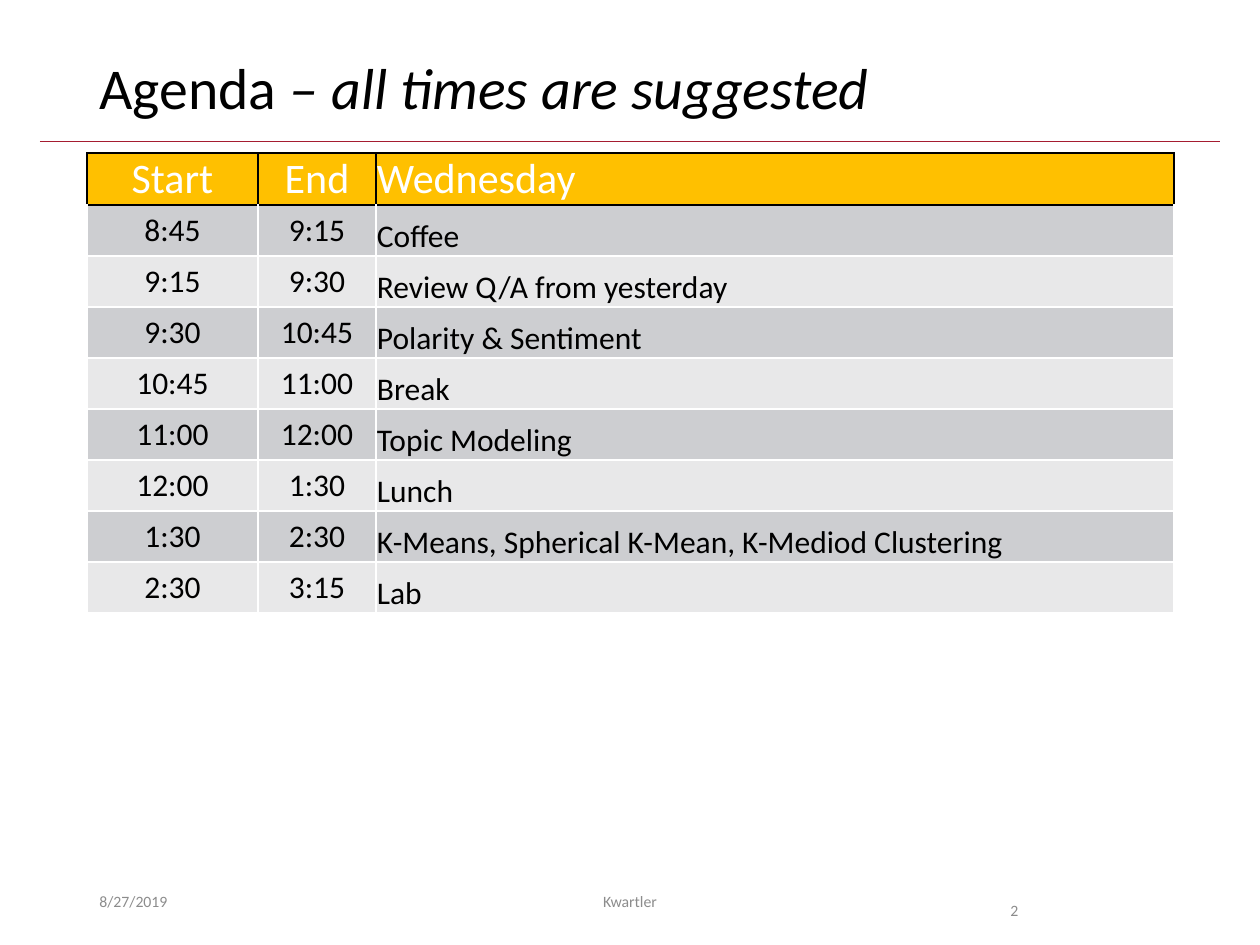
import lxml.etree
import pptx
import pptx.dml.color
import pptx.enum.shapes
import pptx.enum.text
import pptx.oxml.ns
import pptx.util

PX = 914400 / 126
ALIGN = pptx.enum.text.PP_ALIGN
ANCHOR = pptx.enum.text.MSO_ANCHOR
qn = pptx.oxml.ns.qn


def color(value):
    return pptx.dml.color.RGBColor.from_string(value)


def write(frame, text, size=18, fill="000000", align=ALIGN.LEFT,
          anchor=ANCHOR.MIDDLE, spacing=None, italic_tail=""):
    """Fill the first paragraph; italic_tail follows the text in italics."""
    frame.word_wrap = True
    frame.vertical_anchor = anchor
    para = frame.paragraphs[0]
    para.alignment = align
    para.line_spacing = spacing
    for words, italic in ((text, False), (italic_tail, True)):
        if words:
            span = para.add_run()
            span.text = words
            span.font.name = "Calibri"
            span.font.size = pptx.util.Pt(size)
            span.font.italic = italic
            span.font.color.rgb = color(fill)


deck = pptx.Presentation()
deck.slide_width = round(1260 * PX)
deck.slide_height = round(945 * PX)
page = deck.slides.add_slide(deck.slide_layouts[6])

# Rule under the title
rule = page.shapes.add_connector(
    pptx.enum.shapes.MSO_CONNECTOR.STRAIGHT,
    *(round(length * PX) for length in (40, 141, 1220, 141)))
rule.line.color.rgb = color("A51C30")
rule.line.width = pptx.util.Pt(0.5)
lxml.etree.SubElement(rule._element.spPr, qn("a:effectLst"))

# Title and footer
footer = {"size": 9, "fill": "8C8C8C"}
texts = [
    ((87, 50, 1086, 82), "Agenda ",
     {"size": 33, "spacing": 0.9, "italic_tail": "– all times are suggested"}),
    ((87, 876, 284, 50), "8/27/2019", footer),
    ((417, 876, 426, 50), "Kwartler", {**footer, "align": ALIGN.CENTER}),
    ((998, 876, 118, 50), "2", {**footer, "anchor": ANCHOR.TOP, "spacing": 2.0}),
]
for place, text, style in texts:
    box = page.shapes.add_textbox(*(round(length * PX) for length in place))
    write(box.text_frame, text, **style)

# Schedule
schedule = [
    ("Start", "End", "Wednesday"),
    ("8:45", "9:15", "Coffee"),
    ("9:15", "9:30", "Review Q/A from yesterday"),
    ("9:30", "10:45", "Polarity & Sentiment"),
    ("10:45", "11:00", "Break"),
    ("11:00", "12:00", "Topic Modeling"),
    ("12:00", "1:30", "Lunch"),
    ("1:30", "2:30", "K-Means, Spherical K-Mean, K-Mediod Clustering"),
    ("2:30", "3:15", "Lab"),
]
widths = (171, 118, 798)
heights = [52] + [51] * (len(schedule) - 1)
table = page.shapes.add_table(
    len(schedule), len(widths), round(87 * PX), round(153 * PX),
    round(sum(widths) * PX), round(sum(heights) * PX)).table
for column, width in zip(table.columns, widths):
    column.width = round(width * PX)

for row, entries in enumerate(schedule):
    table.rows[row].height = round(heights[row] * PX)
    header = row == 0
    band = "FFC000" if header else ("E8E8E9", "CDCED1")[row % 2]
    for column, text in enumerate(entries):
        cell = table.cell(row, column)
        cell.margin_left = cell.margin_right = cell.margin_top = round(PX)
        cell.margin_bottom = 0
        is_topic = column == 2
        properties = cell._tc.get_or_add_tcPr()
        for side in ("lnL", "lnR", "lnT", "lnB"):
            dark = header or (row == 1 and side == "lnT")
            edge = lxml.etree.SubElement(properties, qn(f"a:{side}"), w="12700")
            paint = lxml.etree.SubElement(edge, qn("a:solidFill"))
            lxml.etree.SubElement(paint, qn("a:srgbClr"),
                                  val="000000" if dark else "FFFFFF")
        cell.fill.solid()
        cell.fill.fore_color.rgb = color(band)
        anchor = ANCHOR.BOTTOM if is_topic and not header else ANCHOR.MIDDLE
        write(cell.text_frame, text,
              size=24 if header else 18,
              fill="FFFFFF" if header else "000000",
              align=ALIGN.LEFT if is_topic else ALIGN.CENTER)
        cell.vertical_anchor = anchor

deck.save("out.pptx")
